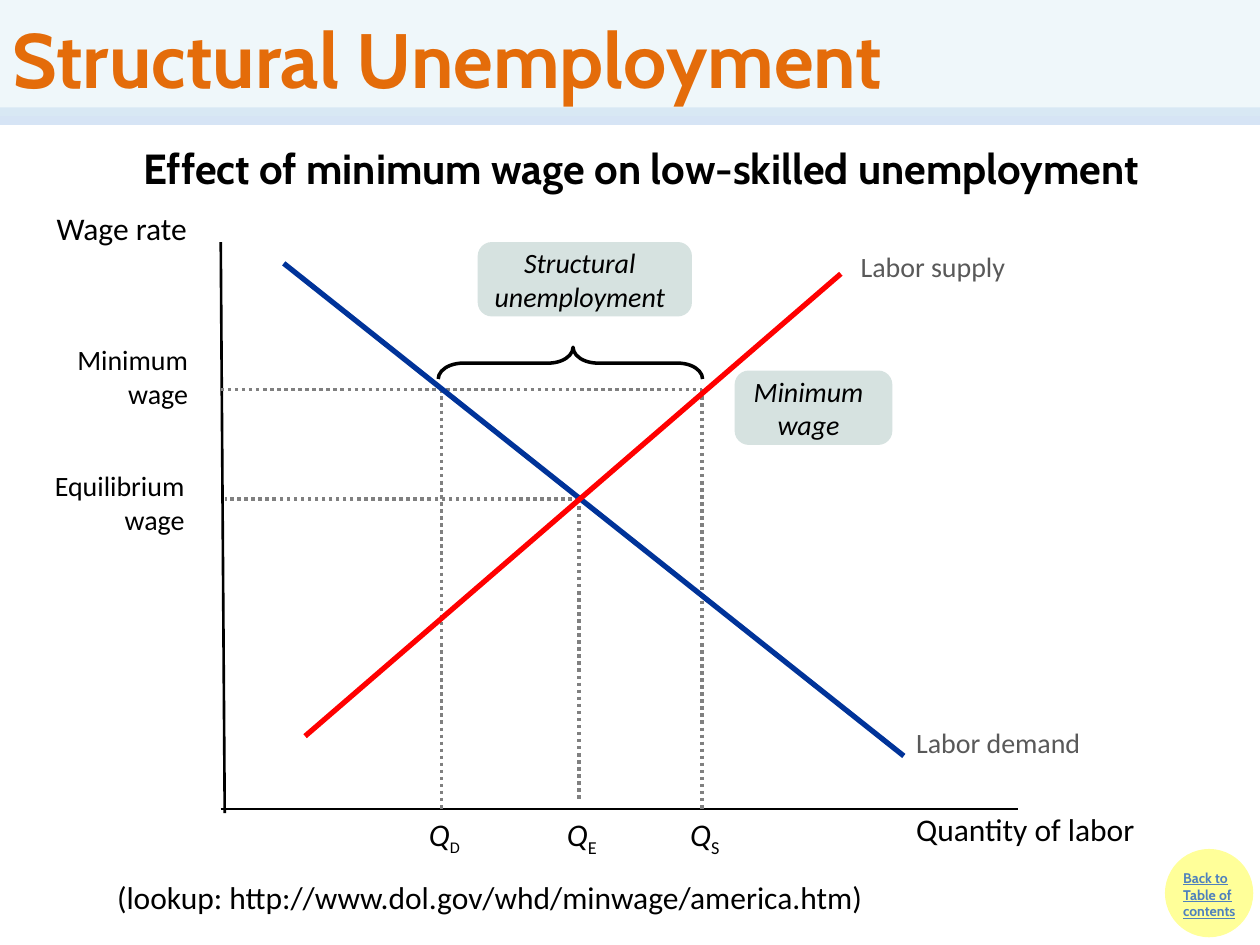
from lxml import etree
from pptx import Presentation
from pptx.dml.color import RGBColor
from pptx.enum.dml import MSO_LINE_DASH_STYLE as Dash
from pptx.enum.shapes import MSO_CONNECTOR, MSO_SHAPE
from pptx.enum.text import MSO_ANCHOR, MSO_AUTO_SIZE, PP_ALIGN
from pptx.oxml.ns import qn
from pptx.util import Cm, Pt

BLACK = RGBColor(0x00, 0x00, 0x00)
GRAY = RGBColor(0x59, 0x59, 0x59)
GUIDE_GRAY = RGBColor(0x80, 0x80, 0x80)
ORANGE = RGBColor(0xE4, 0x6C, 0x0A)
HEADER_BLUE = RGBColor(0xDB, 0xEE, 0xF4)
BAND_BLUE = RGBColor(0xC6, 0xD9, 0xF1)
LINK_BLUE = RGBColor(0x4F, 0x81, 0xBD)
YELLOW = RGBColor(0xFF, 0xFF, 0x99)
SAGE = RGBColor(0xD6, 0xE2, 0xE0)
DEMAND_BLUE = RGBColor(0x00, 0x33, 0x99)
SUPPLY_RED = RGBColor(0xFF, 0x00, 0x00)


def set_alpha(element, percent):
    color = element.find(".//" + qn("a:srgbClr"))
    etree.SubElement(color, qn("a:alpha")).set("val", str(percent * 1000))


def write_text(shape, text, font="Calibri", size=16, color=BLACK, bold=False, italic=False,
               underline=False, align=PP_ALIGN.LEFT, anchor=MSO_ANCHOR.TOP, wrap=True):
    """Fill a shape with text, one paragraph per line."""
    frame = shape.text_frame
    frame.word_wrap = wrap
    frame.auto_size = MSO_AUTO_SIZE.NONE
    frame.vertical_anchor = anchor
    frame.text = text
    for paragraph in frame.paragraphs:
        paragraph.alignment = align
        for run in paragraph.runs:
            run.font.name, run.font.size = font, Pt(size)
            run.font.bold, run.font.italic, run.font.underline = bold, italic, underline
            run.font.color.rgb = color


def add_text(slide, left, top, width, height, text, **text_format):
    box = slide.shapes.add_textbox(Cm(left), Cm(top), Cm(width), Cm(height))
    write_text(box, text, **text_format)
    return box


def add_line(slide, start, end, color, width, dash=None):
    line = slide.shapes.add_connector(MSO_CONNECTOR.STRAIGHT, *map(Cm, (*start, *end)))
    line.line.color.rgb = color
    line.line.width = Pt(width)
    if dash:
        line.line.dash_style = dash
    etree.SubElement(line._element.spPr, qn("a:effectLst"))
    return line


def add_shape(slide, kind, left, top, width, height, fill=None, line=None):
    shape = slide.shapes.add_shape(kind, Cm(left), Cm(top), Cm(width), Cm(height))
    shape.shadow.inherit = False
    if fill is None:
        shape.fill.background()
    else:
        shape.fill.solid()
        shape.fill.fore_color.rgb = fill
    if line is None:
        shape.line.fill.background()
    else:
        shape.line.color.rgb = line
        shape.line.width = Pt(2)
    return shape


def add_header(slide, left, top, width, height):
    bottom = top + height
    band = add_line(slide, (left, bottom), (left + width, bottom), BAND_BLUE, 10)
    set_alpha(band.line._get_or_add_ln(), 71)
    title = slide.shapes.title
    title.left, title.top, title.width, title.height = map(Cm, (left, top, width, height))
    title.fill.solid()
    title.fill.fore_color.rgb = HEADER_BLUE
    set_alpha(title._element.spPr, 44)
    write_text(title, "Structural Unemployment", font="Cabin", size=44, color=ORANGE,
               bold=True, anchor=MSO_ANCHOR.MIDDLE)
    # The tinted title lies over the upper half of the band
    slide.shapes._spTree.append(title._element)


def add_contents_badge(slide, left, top, size):
    add_shape(slide, MSO_SHAPE.OVAL, left, top, size, size, YELLOW, YELLOW)
    add_text(slide, left + 0.08, top + 0.25, 1.83, size, "Back to Table of contents",
             font="Cabin", size=8, color=LINK_BLUE, bold=True, underline=True)


def add_quantity_label(slide, center, top, letter, size):
    width = 1.3
    box = add_text(slide, center - width / 2, top, width, 1.02, "Q", size=18, italic=True,
                   align=PP_ALIGN.CENTER, wrap=False)
    subscript = box.text_frame.paragraphs[0].add_run()
    subscript.text = letter
    subscript.font.name, subscript.font.size = "Calibri", Pt(size)
    subscript.font.color.rgb = BLACK
    subscript._r.get_or_add_rPr().set("baseline", "-25000")


def add_callout(slide, left, top, width, height, text):
    callout = add_shape(slide, MSO_SHAPE.ROUNDED_RECTANGLE, left, top, width, height, SAGE)
    callout.adjustments[0] = 0.19
    write_text(callout, text, italic=True, align=PP_ALIGN.CENTER, anchor=MSO_ANCHOR.MIDDLE)
    callout.text_frame.margin_left, callout.text_frame.margin_right = Cm(0.1), Cm(0.3)
    callout.text_frame.margin_top = callout.text_frame.margin_bottom = 0


def add_labor_market(slide, left, top, width, height):
    """Draw the supply and demand diagram; the box is the area inside the axes."""
    def at(x, y):
        return left + x, top + y

    demanded, equilibrium, supplied = 4.45, 7.22, 9.7
    minimum_wage, equilibrium_wage = 2.97, 5.18

    # Axes and their names
    add_line(slide, at(0, 0), at(0.08, height + 0.08), BLACK, 1.5)
    add_line(slide, at(0, height), at(width, height), BLACK, 1.5)
    add_text(slide, *at(-3.56, -0.79), 3.2, 1.02, "Wage rate", size=18, wrap=False)
    add_text(slide, *at(13.77, height - 0.1), 5.51, 1.02, "Quantity of labor", size=18)

    # Dotted guides
    for start, end in (
        ((equilibrium, equilibrium_wage), (0.08, equilibrium_wage)),
        ((equilibrium, equilibrium_wage + 0.15), (equilibrium, height - 0.15)),
        ((0, minimum_wage), (supplied, minimum_wage)),
        ((demanded, minimum_wage), (demanded, height)),
        ((supplied, minimum_wage), (supplied, height)),
    ):
        add_line(slide, at(*start), at(*end), GUIDE_GRAY, 2, Dash.ROUND_DOT)

    # Wage levels and quantities
    add_text(slide, *at(-3.23, 1.9), 2.82, 1.63, "Minimum\nwage",
             align=PP_ALIGN.RIGHT, wrap=False)
    add_text(slide, *at(-3.76, 4.45), 3.28, 1.63, "Equilibrium\nwage",
             align=PP_ALIGN.RIGHT, wrap=False)
    for quantity, letter, size in ((demanded, "D", 16), (equilibrium, "E", 18),
                                   (supplied, "S", 18)):
        add_quantity_label(slide, left + quantity + 0.06, top + height, letter, size)

    # Unemployment gap: a brace turned to point upwards
    depth, span = 0.64, 5.33
    brace = add_shape(slide, MSO_SHAPE.RIGHT_BRACE, *at(7.05 - depth / 2, 2.44 - span / 2),
                      depth, span, line=BLACK)
    brace.rotation = 270
    brace.adjustments[0], brace.adjustments[1] = 0.78, 0.51
    add_callout(slide, *at(5.18, 0), 4.32, 1.5, "Structural\nunemployment")
    add_callout(slide, *at(10.36, 2.59), 3.18, 1.5, "Minimum\nwage")

    # Curves and their names
    add_line(slide, at(1.27, 0.43), at(13.77, 10.36), DEMAND_BLUE, 3)
    add_line(slide, at(1.7, 9.96), at(12.5, 0.64), SUPPLY_RED, 3)
    add_text(slide, *at(13.77, 9.63), 3.99, 0.94, "Labor demand", color=GRAY, wrap=False)
    add_text(slide, *at(12.65, 0.03), 3.61, 0.94, "Labor supply", color=GRAY, wrap=False)


def main():
    presentation = Presentation()
    presentation.slide_width, presentation.slide_height = Cm(25.4), Cm(19.05)
    slide = presentation.slides.add_slide(presentation.slide_layouts[5])
    add_header(slide, 0, 0, 25.4, 2.34)
    add_contents_badge(slide, 23.52, 17.15, 1.71)
    add_text(slide, 0.64, 2.74, 24.56, 1.3, "Effect of minimum wage on low-skilled unemployment",
             font="Cabin", size=24, bold=True, align=PP_ALIGN.CENTER)
    add_labor_market(slide, 4.45, 4.88, 16.08, 11.43)
    add_text(slide, 2.11, 17.58, 15.72, 1.02,
             "(lookup: http://www.dol.gov/whd/minwage/america.htm)", size=18, wrap=False)
    presentation.save("out.pptx")


if __name__ == "__main__":
    main()
